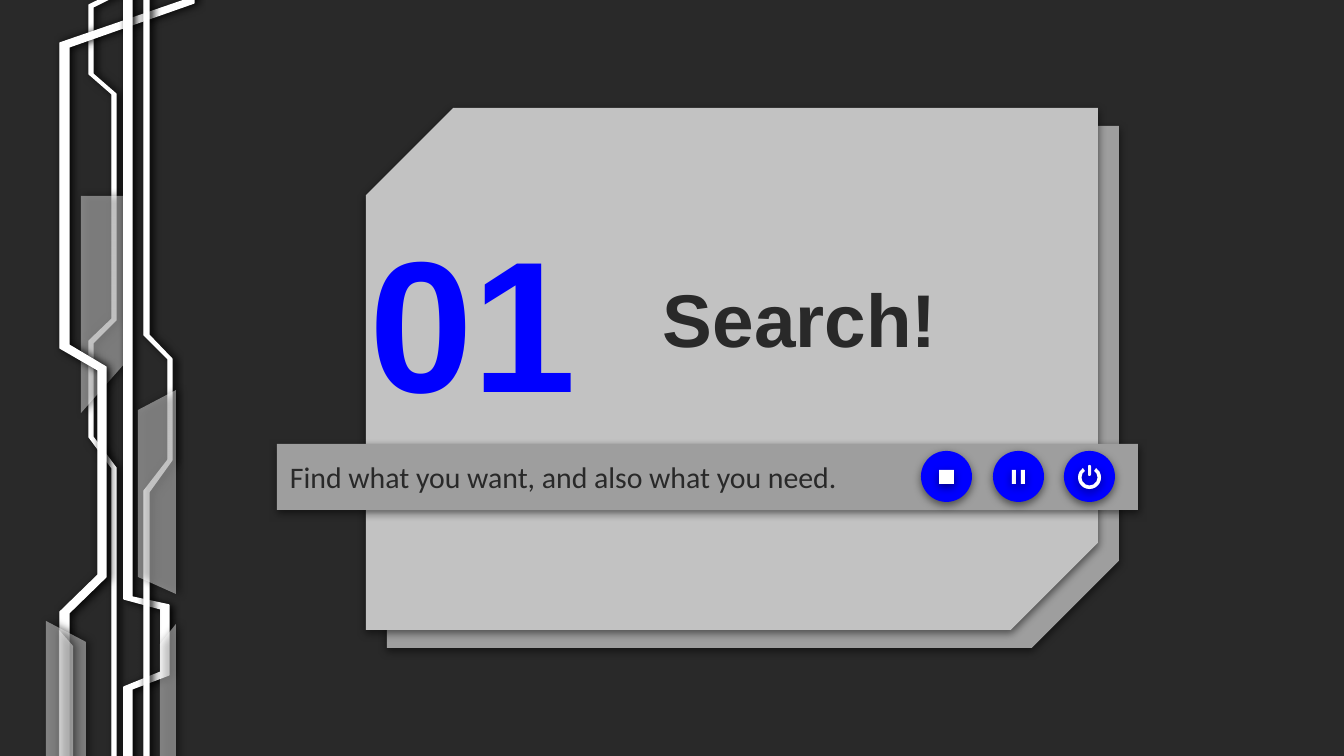
"""Builds a section slide with a snipped card, a search bar and circuit artwork."""
from dataclasses import dataclass

from lxml import etree
from pptx import Presentation
from pptx.dml.color import RGBColor
from pptx.enum.shapes import MSO_SHAPE
from pptx.enum.text import MSO_ANCHOR, PP_ALIGN
from pptx.oxml.ns import qn
from pptx.util import Pt

SCALE = 914400 / 134.4
RECTANGLE, OVAL = MSO_SHAPE.RECTANGLE, MSO_SHAPE.OVAL
ROUNDED, ARC = MSO_SHAPE.ROUNDED_RECTANGLE, MSO_SHAPE.BLOCK_ARC
SNIPPED = MSO_SHAPE.SNIP_2_DIAG_RECTANGLE
MIDDLE = MSO_ANCHOR.MIDDLE
LEFT, CENTER = PP_ALIGN.LEFT, PP_ALIGN.CENTER


@dataclass(frozen=True)
class Theme:
    ink: str = "292929"
    card: str = "C2C2C2"
    bar: str = "9E9E9E"
    accent: str = "0000FF"
    white: str = "FFFFFF"
    shadow: str = "000000"
    panel_alpha: int = 43
    heading_font: str = "Arial"
    body_font: str = "Calibri"
    number_size: int = 100
    title_size: int = 40
    body_size: int = 16


THEME = Theme()

TRACES = [
    [(168, -257), (168, -34), (89, 5), (89, 74), (112, 94), (112, 319), (89, 341),
     (89, 437), (112, 468), (112, 761), (116, 761), (116, 468), (93, 437), (93, 343),
     (116, 320), (116, 94), (93, 74), (93, 7), (172, -32), (172, -257)],
    [(185, -263), (185, 0), (60, 43), (60, 348), (98, 370), (98, 575), (60, 612),
     (60, 793), (69, 793), (69, 613), (106, 577), (106, 367), (69, 345), (69, 47),
     (194, 3), (194, -263)],
    [(124, -273), (124, 599), (161, 609), (161, 672), (124, 687), (124, 761),
     (132, 761), (132, 689), (169, 675), (169, 605), (132, 597), (132, -273)],
    [(144, -273), (144, 335), (168, 359), (168, 460), (144, 491), (144, 801),
     (149, 801), (149, 492), (172, 460), (172, 359), (149, 335), (149, -273)],
]
UPPER_PANEL = [(81, 196), (81, 413), (126, 362), (126, 196)]
LOWER_PANELS = [
    [(46, 621), (46, 832), (86, 832), (86, 642)],
    [(176, 390), (138, 410), (138, 577), (176, 594)],
    [(176, 624), (160, 644), (160, 810), (176, 829)],
    [(59, 630), (59, 824), (73, 805), (73, 646)],
]


def px(value):
    return round(value * SCALE)


def rgb(color):
    return RGBColor.from_string(color)


def add_shadow(shape, alpha, degrees):
    shape.shadow.inherit = False
    effects = shape._element.spPr.find(qn("a:effectLst"))
    shadow = etree.SubElement(effects, qn("a:outerShdw"), blurRad=str(Pt(4.5)),
                              dist=str(Pt(1.5)), dir=str(degrees * 60000),
                              algn="bl", rotWithShape="0")
    color = etree.SubElement(shadow, qn("a:srgbClr"), val=THEME.shadow)
    etree.SubElement(color, qn("a:alpha"), val=str(alpha * 1000))


def paint(shape, color):
    shape.fill.solid()
    shape.fill.fore_color.rgb = rgb(color)
    shape.line.fill.background()


def add_preset(shapes, kind, bounds, color, adjustments=()):
    shape = shapes.add_shape(kind, *map(px, bounds))
    paint(shape, color)
    add_shadow(shape, 50, 90)
    for index, value in enumerate(adjustments):
        shape.adjustments[index] = value
    return shape


def add_outline(shapes, points):
    builder = shapes.build_freeform(*points[0], scale=SCALE)
    builder.add_line_segments(points[1:], close=True)
    shape = builder.convert_to_shape()
    paint(shape, THEME.white)
    add_shadow(shape, 100, 0)
    return shape


def add_trace(shapes, points):
    trace = add_outline(shapes, points)
    trace.line.color.rgb = rgb(THEME.white)
    trace.line.width = Pt(0.75)


def add_panel(shapes, points):
    panel = add_outline(shapes, points)
    color = panel._element.spPr.find(qn("a:solidFill")).find(qn("a:srgbClr"))
    etree.SubElement(color, qn("a:alpha"), val=str(THEME.panel_alpha * 1000))


def write(box, text, font, size, color, bold=False, align=LEFT):
    frame = box.text_frame
    frame.text = text
    frame.word_wrap = True
    frame.vertical_anchor = MIDDLE
    frame.margin_left = frame.margin_right = px(13)
    frame.margin_top = frame.margin_bottom = px(13)
    para = frame.paragraphs[0]
    para.alignment = align
    span = para.runs[0]
    span.font.name, span.font.size, span.font.bold = font, Pt(size), bold
    span.font.color.rgb = rgb(color)


def add_heading(page, bounds, text, size, color, align=LEFT):
    box = page.shapes.add_textbox(*map(px, bounds))
    write(box, text, THEME.heading_font, size, color, True, align)


def add_card(page):
    shapes = page.shapes.add_group_shape().shapes
    for left, top, color in [(387, 126, THEME.bar), (366, 108, THEME.card)]:
        add_preset(shapes, SNIPPED, (left, top, 732, 522), color, (0.167, 0))


def add_circuit(page):
    shapes = page.shapes.add_group_shape().shapes
    add_trace(shapes, TRACES[0])
    add_panel(shapes, UPPER_PANEL)
    for points in TRACES[1:]:
        add_trace(shapes, points)
    for points in LOWER_PANELS:
        add_panel(shapes, points)


def add_buttons(page):
    stop = [(RECTANGLE, (18, 19, 15, 14), ())]
    pause = [(RECTANGLE, (left, 19, 4, 14), ()) for left in (19, 28)]
    power = [(ROUNDED, (24, 14, 3, 11), (0.5,)),
             (ARC, (14, 15, 23, 23), (183, 141, 0.15))]
    shapes = page.shapes.add_group_shape().shapes
    for left, icon in zip((921, 993, 1064), (stop, pause, power)):
        top = 451
        add_preset(shapes, OVAL, (left, top, 51, 51), THEME.accent)
        for kind, (x, y, width, height), adjustments in icon:
            add_preset(shapes, kind, (left + x, top + y, width, height),
                       THEME.white, adjustments)


def main():
    deck = Presentation()
    deck.slide_width, deck.slide_height = px(1344), px(756)
    page = deck.slides.add_slide(deck.slide_layouts[6])
    page.background.fill.solid()
    page.background.fill.fore_color.rgb = rgb(THEME.ink)
    add_card(page)
    add_circuit(page)
    search_bar = add_preset(page.shapes, RECTANGLE, (277, 444, 861, 66), THEME.bar)
    write(search_bar, "Find what you want, and also what you need.",
          THEME.body_font, THEME.body_size, THEME.ink)
    add_heading(page, (650, 215, 481, 206), "Search!", THEME.title_size, THEME.ink)
    add_heading(page, (336, 215, 274, 206), "01", THEME.number_size,
                THEME.accent, CENTER)
    add_buttons(page)
    deck.save("out.pptx")


main()
